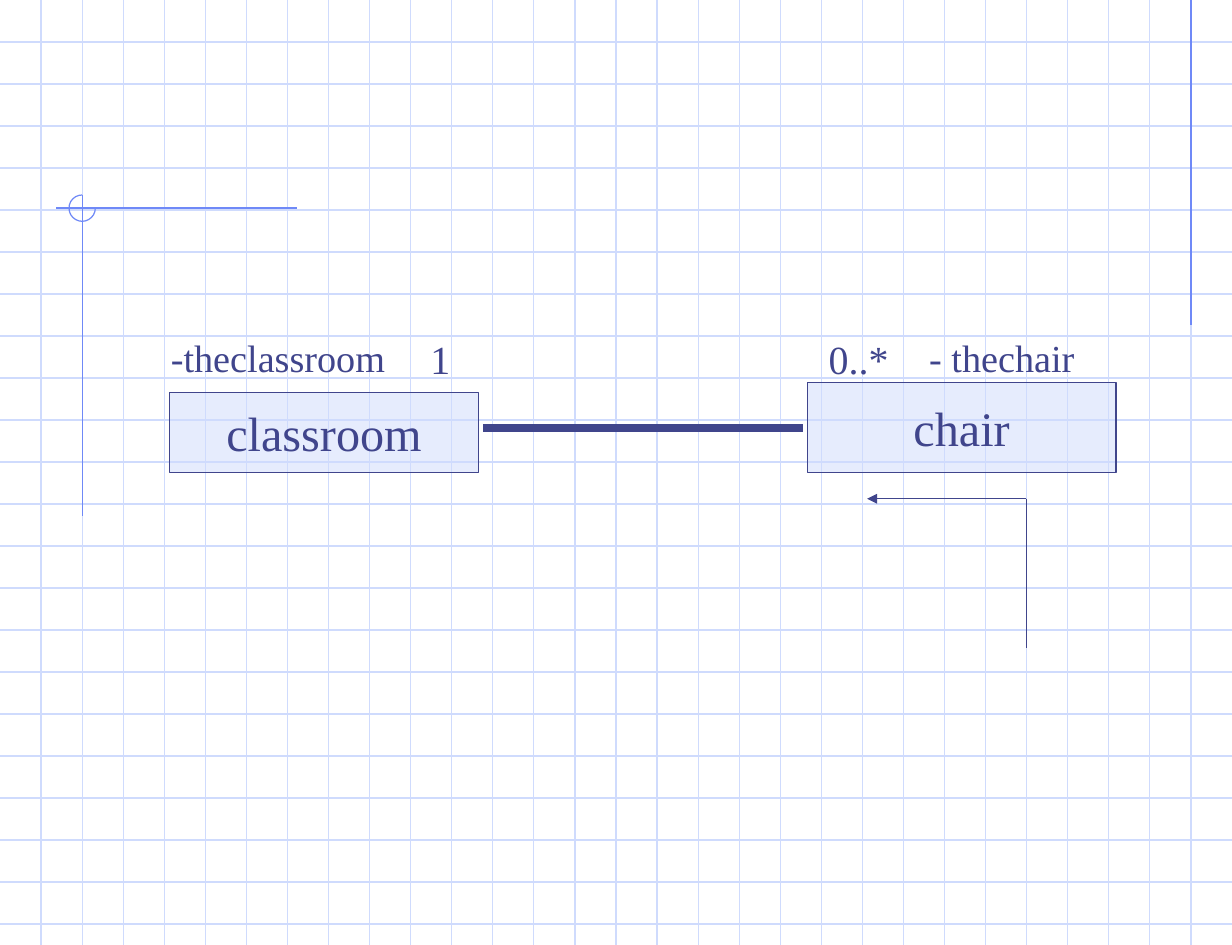
from lxml import etree
from pptx import Presentation
from pptx.dml.color import RGBColor
from pptx.enum import shapes, text
from pptx.oxml.ns import qn
from pptx.util import Inches, Pt

WIDTH, HEIGHT = 10.3, 7.9
COLUMN_STEP, ROW_STEP = WIDTH / 30, HEIGHT / 22.5
GRID = RGBColor(0xCF, 0xDB, 0xFD)
ACCENT = RGBColor(0x6F, 0x89, 0xF7)
INK = RGBColor(0x40, 0x45, 0x8C)
FONT = "Times New Roman"


def write(frame, wording, size=23, align=text.PP_ALIGN.LEFT,
          anchor=text.MSO_ANCHOR.TOP, wrap=True):
    frame.word_wrap = wrap
    frame.vertical_anchor = anchor
    paragraph = frame.paragraphs[0]
    paragraph.alignment = align
    run = paragraph.add_run()
    run.text = wording
    run.font.name = FONT
    run.font.size = Pt(size)
    run.font.color.rgb = INK


def add_line(slide, start, end, color=INK, width=0.75, arrow=False):
    line = slide.shapes.add_connector(
        shapes.MSO_CONNECTOR.STRAIGHT, *map(Inches, start + end))
    line.line.color.rgb = color
    line.line.width = Pt(width)
    properties = line._element.spPr
    etree.SubElement(properties, qn("a:effectLst"))
    if arrow:
        etree.SubElement(properties.find(qn("a:ln")), qn("a:tailEnd"), type="triangle")


def add_class(slide, name, left, top, width, height):
    box = slide.shapes.add_shape(
        shapes.MSO_SHAPE.RECTANGLE, *map(Inches, (left, top, width, height)))
    box.shadow.inherit = False
    box.fill.solid()
    box.fill.fore_color.rgb = GRID
    tint = box._element.spPr.find(qn("a:solidFill"))[0]
    etree.SubElement(tint, qn("a:alpha"), val="50000")
    box.line.color.rgb = INK
    box.line.width = Pt(0.75)
    write(box.text_frame, name, size=29, align=text.PP_ALIGN.CENTER,
          anchor=text.MSO_ANCHOR.MIDDLE, wrap=False)


def add_label(slide, wording, left, width, size):
    label = slide.shapes.add_textbox(
        Inches(left), Inches(2.75), Inches(width), Inches(0.5))
    write(label.text_frame, wording, size=size)


def add_grid(slide):
    for row in range(1, 23):
        y = row * ROW_STEP
        add_line(slide, (0, y), (WIDTH, y), color=GRID)
    for column in range(1, 30):
        x = column * COLUMN_STEP
        add_line(slide, (x, 0), (x, HEIGHT), color=GRID)


def add_corner_marks(slide):
    right_rule = 29 * COLUMN_STEP
    left_rule = 2 * COLUMN_STEP
    add_line(slide, (right_rule, 0), (right_rule, 2.72), color=ACCENT)
    add_line(slide, (2.48, 1.74), (0.47, 1.74), color=ACCENT)
    add_line(slide, (left_rule, 1.63), (left_rule, 4.31), color=ACCENT)
    arc = slide.shapes.add_shape(
        shapes.MSO_SHAPE.ARC, *map(Inches, (left_rule - 0.11, 1.63, 0.22, 0.22)))
    arc.adjustments[0] = 0
    arc.adjustments[1] = 162
    arc.shadow.inherit = False
    arc.fill.background()
    arc.line.color.rgb = ACCENT
    arc.line.width = Pt(0.75)


def main():
    deck = Presentation()
    deck.slide_width, deck.slide_height = Inches(WIDTH), Inches(HEIGHT)
    slide = deck.slides.add_slide(deck.slide_layouts[6])

    add_grid(slide)
    add_corner_marks(slide)
    add_class(slide, "classroom", 1.42, 3.28, 2.58, 0.67)
    add_class(slide, "chair", 6.75, 3.2, 2.58, 0.75)
    for wording, left, width, size in (
        ("-theclassroom", 1.33, 2.17, 23),
        ("- thechair", 7.67, 1.67, 23),
        ("0..*", 6.83, 0.75, 24),
        ("1", 3.5, 0.5, 24),
    ):
        add_label(slide, wording, left, width, size)
    add_line(slide, (6.71, 3.58), (4.04, 3.58), width=5)
    add_line(slide, (8.58, 4.17), (8.58, 5.42))
    add_line(slide, (8.58, 4.17), (7.25, 4.17), arrow=True)

    deck.save("out.pptx")


if __name__ == "__main__":
    main()
